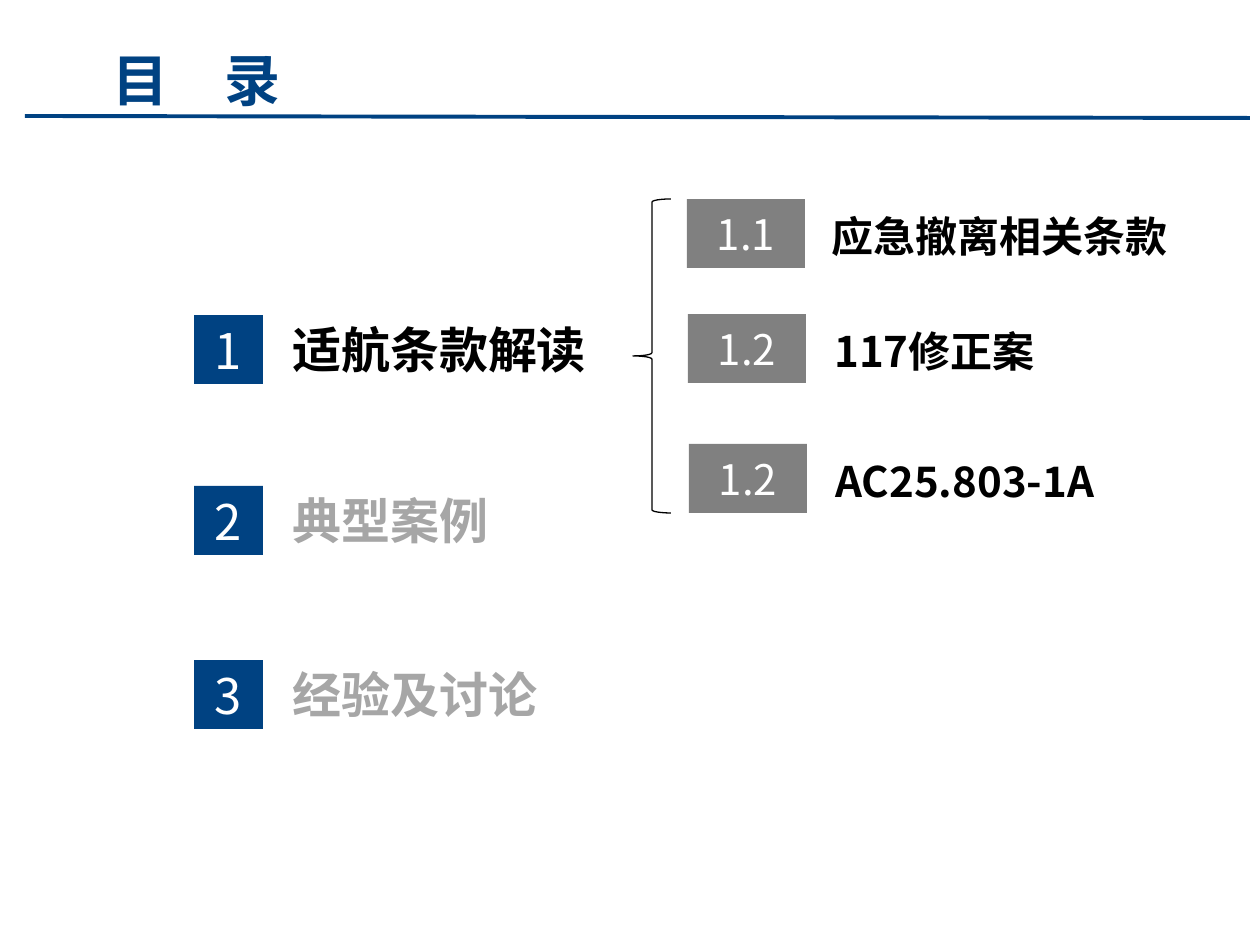
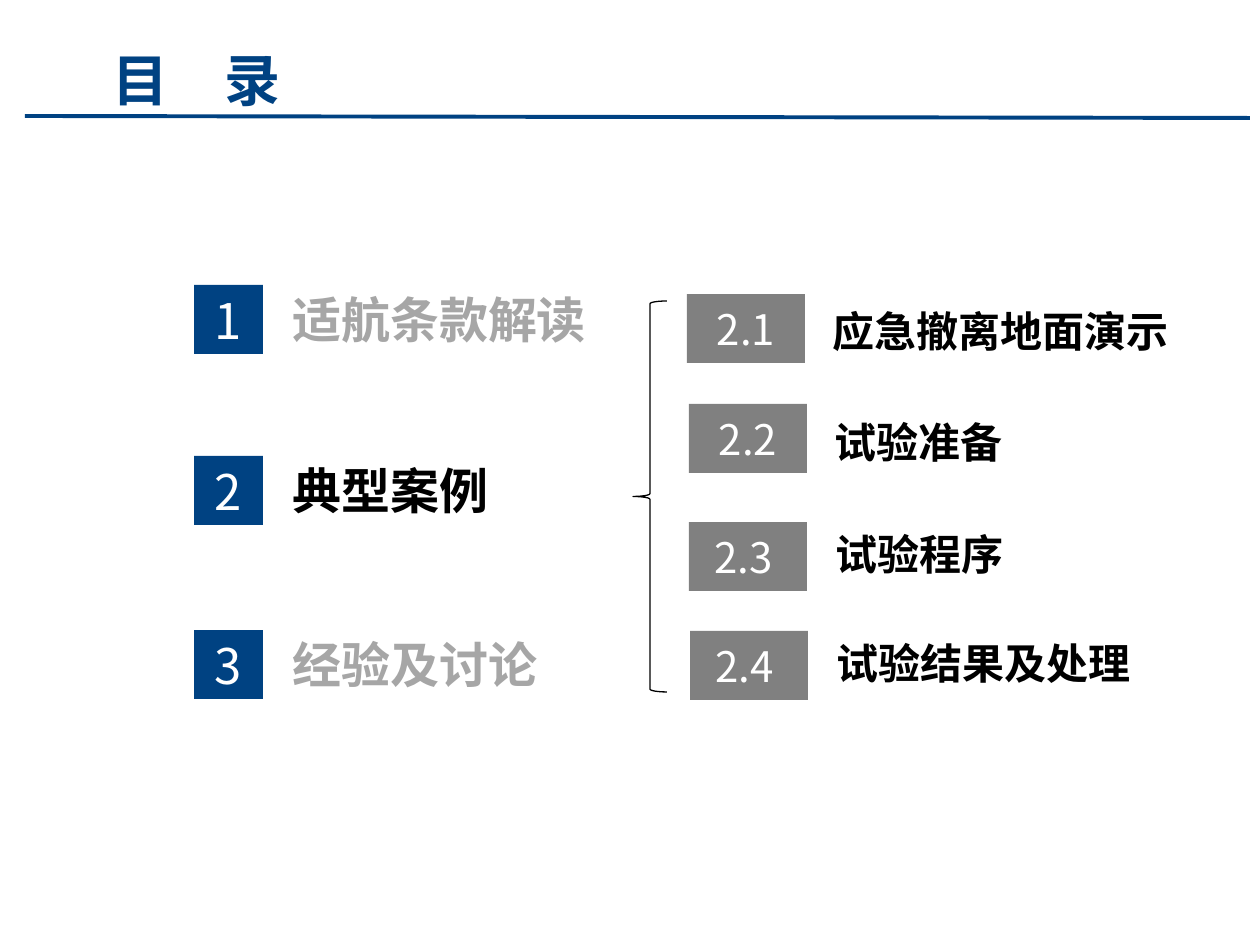
import pptx
import pptx.util
import pptx.dml.color
import pptx.enum.shapes
import pptx.enum.text
import pptx.oxml.ns
import lxml.etree

SCALE = 914400 / 126
FONT = "Noto Sans CJK SC"
HUES = {"navy": "004282", "gray": "808080", "pale": "A6A6A6", "black": "000000", "white": "FFFFFF"}
KIND = pptx.enum.shapes.MSO_SHAPE
ALIGN = pptx.enum.text.PP_ALIGN


def place(*nums):
    return [pptx.util.Emu(round(num * SCALE)) for num in nums]


def write(slide, words, spot, size, hue, fill=None):
    if fill:
        shape = slide.shapes.add_shape(KIND.RECTANGLE, *place(*spot))
        shape.shadow.inherit = False
        shape.fill.solid()
        shape.fill.fore_color.rgb = pptx.dml.color.RGBColor.from_string(HUES[fill])
        shape.line.fill.background()
    else:
        shape = slide.shapes.add_textbox(*place(*spot))
    frame = shape.text_frame
    frame.word_wrap = True
    frame.vertical_anchor = pptx.enum.text.MSO_ANCHOR.MIDDLE
    frame.text = words
    para = frame.paragraphs[0]
    para.alignment = ALIGN.CENTER if fill else ALIGN.LEFT
    font = para.runs[0].font
    font.name = FONT
    font.size = pptx.util.Pt(size)
    font.bold = not fill
    font.color.rgb = pptx.dml.color.RGBColor.from_string(HUES[hue])
    east = lxml.etree.SubElement(font._element, pptx.oxml.ns.qn("a:ea"))
    east.set("typeface", FONT)
    return frame


topics = [("适航条款解读", 0, 387), ("典型案例", 171, 364), ("经验及讨论", 345, 399)]
pages = [
    {"topic": 0, "top": 315, "brace": (633, 199, 38, 314), "parts": [
        ("1.1", 687, 199, "应急撤离相关条款", 819, 204),
        ("1.2", 688, 314, "117修正案", 822, 319),
        ("1.2", 689, 444, "AC25.803-1A", 823, 449)]},
    {"topic": 1, "top": 285, "brace": (633, 301, 34, 391), "parts": [
        ("2.1", 687, 294, "应急撤离地面演示", 820, 299),
        ("2.2", 689, 404, "试验准备", 822, 410),
        ("2.3 ", 689, 522, "试验程序", 823, 522),
        ("2.4 ", 690, 631, "试验结果及处理", 824, 631)]},
]

deck = pptx.Presentation()
deck.slide_width, deck.slide_height = place(1260, 945)

for page in pages:
    slide = deck.slides.add_slide(deck.slide_layouts[6])

    rule = slide.shapes.add_connector(
        pptx.enum.shapes.MSO_CONNECTOR.STRAIGHT, *place(25, 116, 1250, 118))
    rule.line.color.rgb = pptx.dml.color.RGBColor.from_string(HUES["navy"])
    rule.line.width = pptx.util.Pt(2.25)
    lxml.etree.SubElement(rule._element.spPr, pptx.oxml.ns.qn("a:effectLst"))

    title = write(slide, "目　录", (25, 39, 896, 88), 32, "navy")
    title.margin_left = place(88)[0]
    title.paragraphs[0].line_spacing = 0.9

    for index, (name, drop, width) in enumerate(topics):
        top = page["top"] + drop
        hue = "black" if index == page["topic"] else "pale"
        write(slide, name, (280, top - 2, width, 72), 28, hue)
        write(slide, str(index + 1), (194, top, 69, 69), 28, "white", "navy")

    for mark, left, top, name, start, head in page["parts"]:
        write(slide, name, (start, head, 407, 63), 24, "black")
        write(slide, mark, (left, top, 118, 69), 24, "white", "gray")

    brace = slide.shapes.add_shape(KIND.LEFT_BRACE, *place(*page["brace"]))
    brace.shadow.inherit = False
    brace.fill.background()
    brace.line.color.rgb = pptx.dml.color.RGBColor.from_string(HUES["black"])
    brace.line.width = pptx.util.Pt(0.75)

deck.save("out.pptx")
